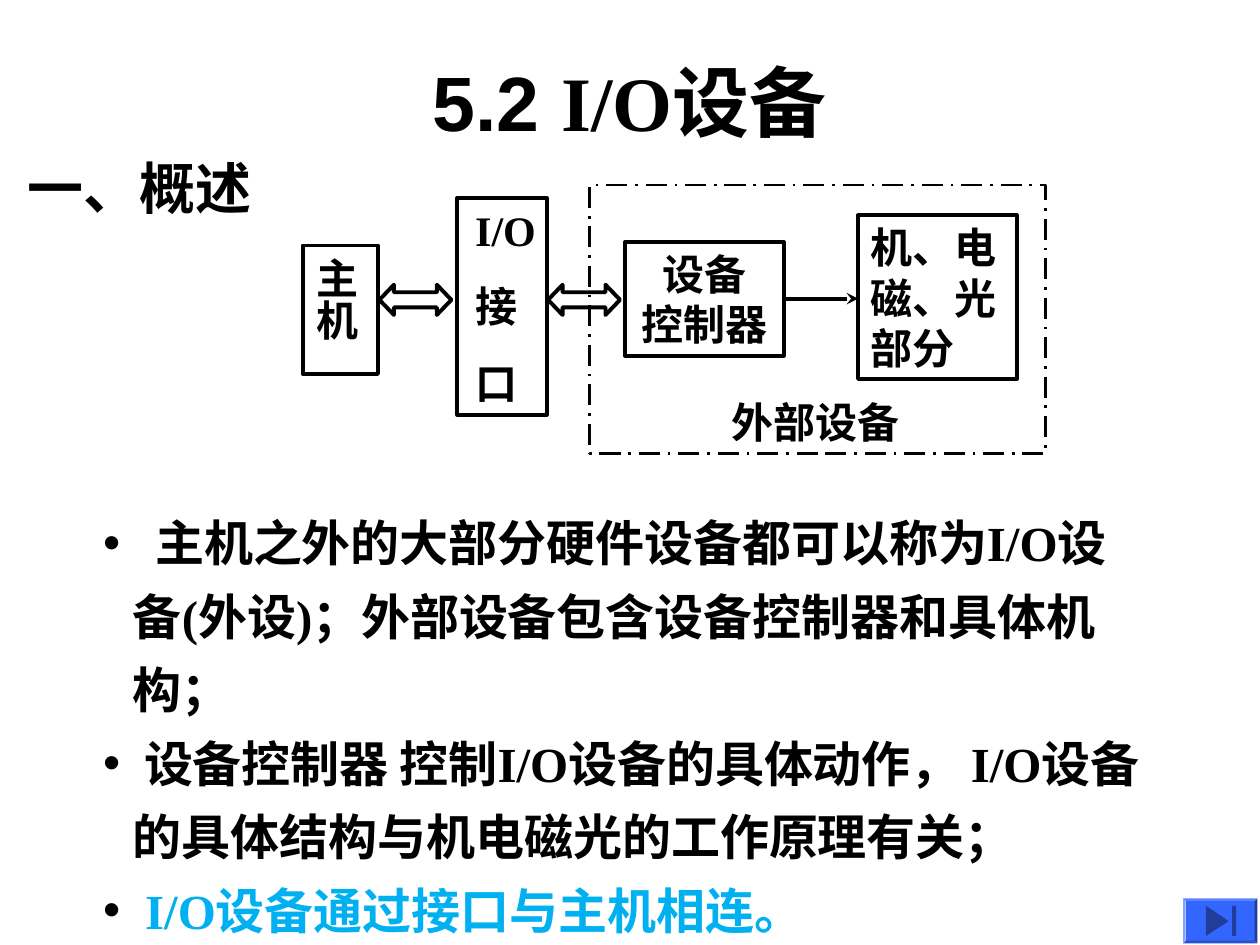
from lxml import etree
from pptx import Presentation
from pptx.dml.color import RGBColor
from pptx.enum.dml import MSO_LINE
from pptx.enum.shapes import MSO_CONNECTOR, MSO_SHAPE
from pptx.enum.text import MSO_ANCHOR, MSO_AUTO_SIZE, PP_ALIGN
from pptx.oxml.ns import qn
from pptx.util import Cm, Pt

RECT, ARROW, BEVEL = MSO_SHAPE.RECTANGLE, MSO_SHAPE.LEFT_RIGHT_ARROW, MSO_SHAPE.BEVEL
LEFT, MID = PP_ALIGN.LEFT, PP_ALIGN.CENTER
TOP, CENTRE = MSO_ANCHOR.TOP, MSO_ANCHOR.MIDDLE

THEME = {
    "ink": RGBColor(0, 0, 0),
    "blue": RGBColor(0x00, 0xB0, 0xF0),
    "button": RGBColor(0x33, 0x66, 0xFF),
    "icon": RGBColor(0x1F, 0x3D, 0x99),
    "sans": "Arial", "serif": "Times New Roman",
    "title": Pt(44), "head": Pt(32), "list": Pt(28), "label": Pt(24),
    "thick": Pt(2.25), "thin": Pt(1.5),
}


def write(shape, paras, size, fmt, pads=(0.25, 0.13, 0.25, 0.13), anchor=TOP):
    """Fill a shape with paragraphs, each a list of (text, font, colour) runs."""
    frame = shape.text_frame
    sides = ("margin_left", "margin_top", "margin_right", "margin_bottom")
    look = {"word_wrap": True, "auto_size": MSO_AUTO_SIZE.NONE, "vertical_anchor": anchor}
    look.update(zip(sides, map(Cm, pads)))
    for key, value in look.items():
        setattr(frame, key, value)
    for i, runs in enumerate(paras):
        para = frame.add_paragraph() if i else frame.paragraphs[0]
        for key, value in fmt.items():
            setattr(para, key, value)
        for text, face, tint in runs:
            run = para.add_run()
            run.text = text
            for key, value in {"name": face, "size": size, "bold": True}.items():
                setattr(run.font, key, value)
            run.font.color.rgb = THEME[tint]


def draw(kind, box, width="thick"):
    """Add an unfilled, black-lined preset shape."""
    shape = shapes.add_shape(kind, *map(Cm, box))
    shape.shadow.inherit = False
    shape.fill.background()
    shape.line.color.rgb = THEME["ink"]
    shape.line.width = THEME[width]
    return shape


deck = Presentation()
deck.slide_width, deck.slide_height = Cm(25.4), Cm(19.05)
slide = deck.slides.add_slide(deck.slide_layouts[1])
shapes = slide.shapes
sans, serif = THEME["sans"], THEME["serif"]

# Title and list
title, body = shapes.title, slide.placeholders[1]
places = [(title, (1.9, 0.43, 21.59, 3.18)), (body, (1.83, 9.91, 21.39, 9.14))]
for holder, box in places:
    for key, value in zip(("left", "top", "width", "height"), box):
        setattr(holder, key, Cm(value))

name = [("5.2 ", sans, "ink"), ("I/O", serif, "ink"), ("设备", sans, "ink")]
write(title, [name], THEME["title"], {"alignment": MID}, anchor=CENTRE)

points = [
    [("  主机之外的大部分硬件设备都可以称为I/O设备(外设)；外部设备包含设备控制器和具体机构；", serif, "ink")],
    [(" 设备控制器 控制I/O设备的具体动作， I/O设备的具体结构与机电磁光的工作原理有关；", serif, "ink")],
    [(" ", serif, "ink"), ("I/O设备通过接口与主机相连。", serif, "blue")],
]
write(body, points, THEME["list"],
      {"alignment": LEFT, "line_spacing": 1.25, "space_before": Pt(0)})
for para in body.text_frame.paragraphs:
    props = para._p.get_or_add_pPr()
    props.set("marL", str(Cm(0.6)))
    props.set("indent", str(-Cm(0.6)))
    tint = etree.SubElement(props, qn("a:buClr"))
    etree.SubElement(tint, qn("a:srgbClr")).set("val", str(THEME["ink"]))
    etree.SubElement(props, qn("a:buChar")).set("char", "•")

# Device frame, then the boxes of the diagram
outer = draw(RECT, (11.89, 3.73, 9.19, 5.41), "thin")
outer.line.dash_style = MSO_LINE.LONG_DASH_DOT

pads = (0.25, 0.13, 0.25, 0.13)
blocks = [
    ((6.1, 4.95, 1.52, 2.59), ["主机"], LEFT, 15, (0.13, 0.25, 0.33, 0.25)),
    ((9.22, 3.99, 1.8, 4.37), ["I/O", "接", "口"], LEFT, 15, (0.36, 0.13, 0.15, 0.13)),
    ((12.6, 4.88, 3.2, 2.29), ["设备", "控制器"], MID, 0, pads),
    ((17.3, 4.34, 3.2, 3.3), ["机、电", "磁、光", "部分"], LEFT, 0, pads),
]
for box, lines, align, gap, inset in blocks:
    block = draw(RECT, box)
    write(block, [[(line, serif, "ink")] for line in lines], THEME["label"],
          {"alignment": align, "space_before": Pt(gap)}, inset)
    if lines == ["主机"]:
        block.text_frame._txBody.bodyPr.set("vert", "eaVert")

notes = [
    ((0.3, 2.97, 6.55, 1.63), "一、概述", "head"),
    ((14.5, 7.87, 5.79, 1.27), "外部设备", "label"),
]
for box, text, size in notes:
    note = shapes.add_textbox(*map(Cm, box))
    write(note, [[(text, serif, "ink")]], THEME[size], {"alignment": LEFT})

# Links between the boxes
for left in (7.65, 11.05):
    arrow = draw(ARROW, (left, 5.74, 1.45, 0.61))
    arrow.adjustments[0], arrow.adjustments[1] = 0.5, 0.48

link = shapes.add_connector(MSO_CONNECTOR.STRAIGHT, *map(Cm, (15.8, 6.02, 17.3, 6.02)))
link.line.color.rgb = THEME["ink"]
link.line.width = THEME["thick"]
etree.SubElement(link.line._get_or_add_ln(), qn("a:tailEnd")).set("type", "stealth")
etree.SubElement(link._element.spPr, qn("a:effectLst"))

# Skip button
button = shapes.add_shape(BEVEL, *map(Cm, (23.85, 18.11, 1.5, 0.91)))
button.adjustments[0] = 0.06
pen = shapes.build_freeform(Cm(24.31), Cm(18.26))
pen.add_line_segments([(Cm(24.77), Cm(18.57)), (Cm(24.31), Cm(18.87))])
play = pen.convert_to_shape()
bar = shapes.add_shape(RECT, *map(Cm, (24.84, 18.26, 0.08, 0.61)))
for part, tint in ((button, "button"), (play, "icon"), (bar, "icon")):
    part.shadow.inherit = False
    part.fill.solid()
    part.fill.fore_color.rgb = THEME[tint]
    part.line.fill.background()

deck.save("out.pptx")
